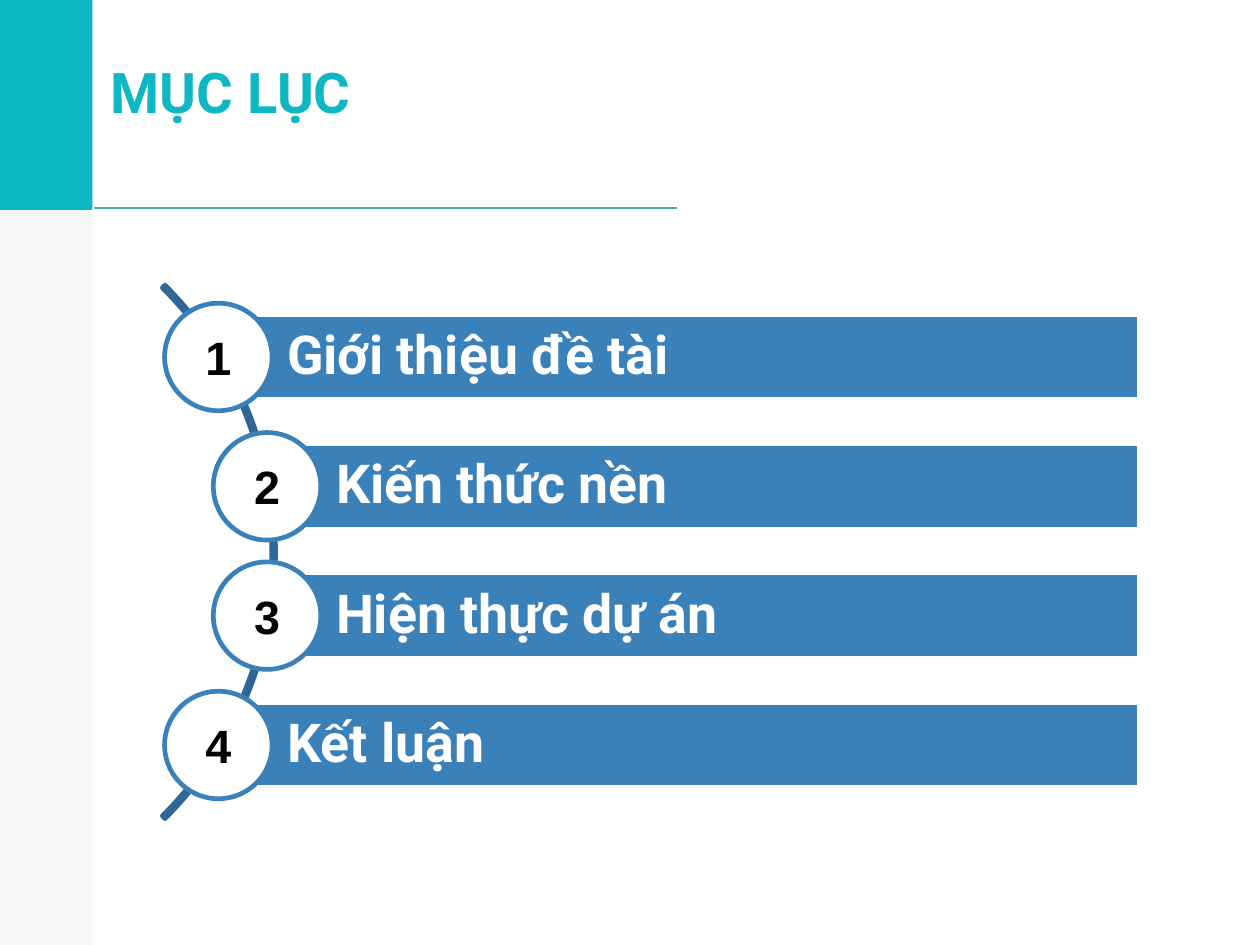
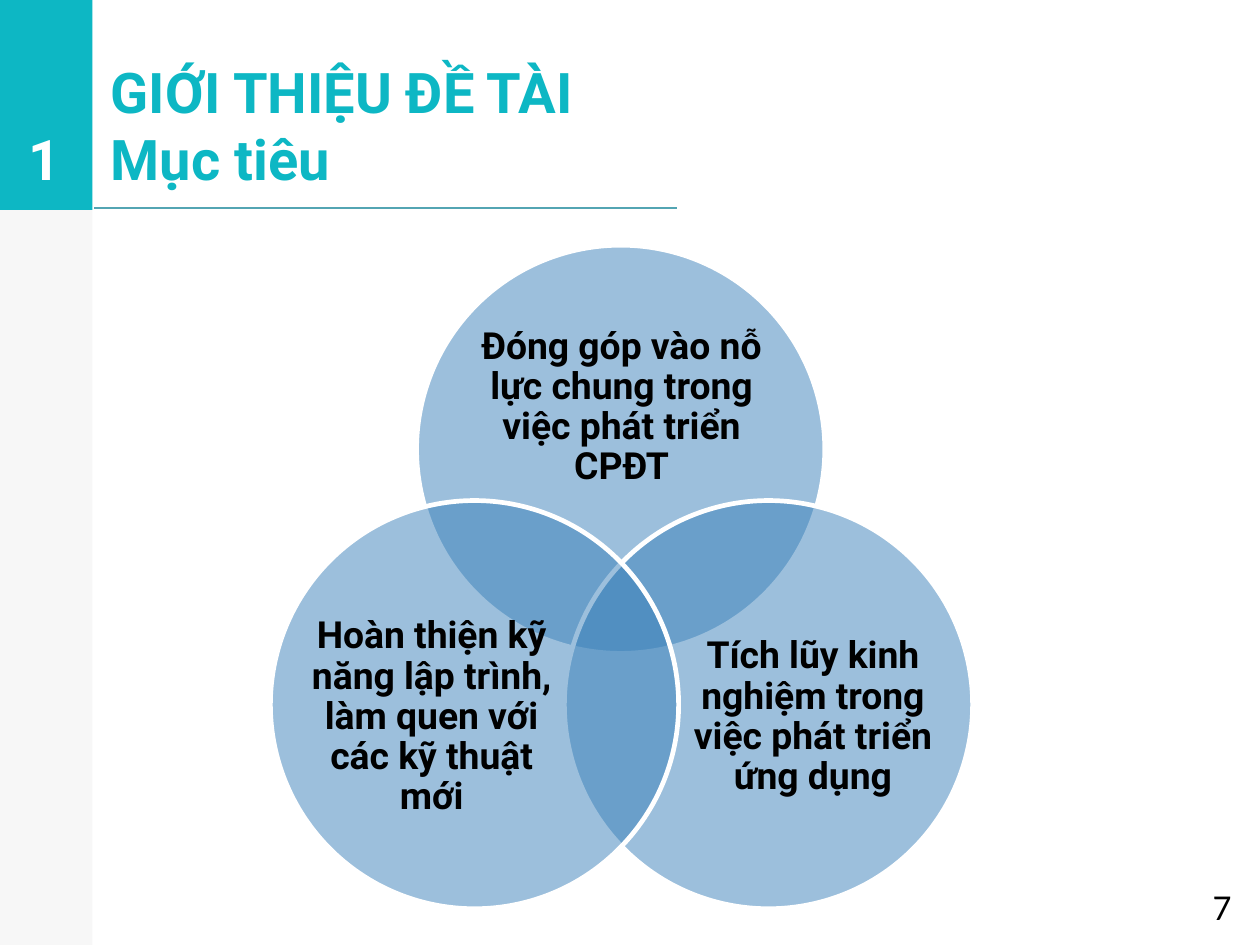
from dataclasses import dataclass

from lxml import etree
from pptx import Presentation
from pptx.dml.color import RGBColor
from pptx.enum import shapes, text
from pptx.oxml import ns
from pptx.util import Inches, Pt


@dataclass(frozen=True)
class Theme:
    teal: str = "0DB7C4"
    rule: str = "53A5B3"
    blue: str = "3A81BA"
    dark_blue: str = "2E6795"
    white: str = "FFFFFF"
    black: str = "000000"
    font: str = "Roboto"
    digit_font: str = "Arial"
    page_font: str = "Lato"
    title_size: int = 24
    bar_size: int = 23
    digit_size: int = 20
    body_size: int = 16
    page_size: int = 14
    outline: float = 2
    rule_width: float = 0.75


THEME = Theme()
WIDTH = 7.5
HEIGHT = WIDTH * 3 / 4
SIDEBAR_WIDTH = 0.55
HEADER_HEIGHT = 1.25
TITLE_LEFT = 0.56
TITLE_LINE = 0.4
PADDING = (0.1, 0.1, 0.1, 0.1)
NO_PADDING = (0, 0, 0, 0)
LEFT, CENTER = text.PP_ALIGN.LEFT, text.PP_ALIGN.CENTER
MIDDLE, BOTTOM = text.MSO_ANCHOR.MIDDLE, text.MSO_ANCHOR.BOTTOM


def place(shape, left, top, width, height):
    shape.left, shape.top = Inches(left), Inches(top)
    shape.width, shape.height = Inches(width), Inches(height)


def write(shape, wording, size, color, font=THEME.font, bold=True, align=LEFT,
          anchor=BOTTOM, padding=PADDING, spacing=1.0, wrap=True):
    """Set and format a shape's text; padding is left, top, right, bottom."""
    frame = shape.text_frame
    frame.text = wording
    frame.auto_size = text.MSO_AUTO_SIZE.NONE
    frame.word_wrap = wrap
    frame.vertical_anchor = anchor
    (frame.margin_left, frame.margin_top,
     frame.margin_right, frame.margin_bottom) = map(Inches, padding)
    for paragraph in frame.paragraphs:
        paragraph.alignment = align
        paragraph.line_spacing = spacing
        for run in paragraph.runs:
            run.font.name = font
            run.font.size = Pt(size)
            run.font.bold = bold
            run.font.color.rgb = RGBColor.from_string(color)


def add_text(slide, box, wording, size, color, **style):
    write(slide.shapes.add_textbox(*map(Inches, box)), wording, size, color, **style)


def add_figure(slide, kind, box, fill=None, line=None, opacity=None):
    """Add a flat preset shape; opacity is a percentage."""
    shape = slide.shapes.add_shape(kind, *map(Inches, box))
    shape.shadow.inherit = False
    if fill:
        shape.fill.solid()
        shape.fill.fore_color.rgb = RGBColor.from_string(fill)
    else:
        shape.fill.background()
    if opacity is not None:
        color = shape.fill._xPr.find(".//" + ns.qn("a:srgbClr"))
        etree.SubElement(color, ns.qn("a:alpha"), val=str(opacity * 1000))
    if line:
        shape.line.color.rgb = RGBColor.from_string(line)
        shape.line.width = Pt(THEME.outline)
    else:
        shape.line.fill.background()
    return shape


def add_rule(slide, start, end):
    rule = slide.shapes.add_connector(
        shapes.MSO_CONNECTOR.STRAIGHT, *map(Inches, (*start, *end)))
    rule.line.color.rgb = RGBColor.from_string(THEME.rule)
    rule.line.width = Pt(THEME.rule_width)
    etree.SubElement(rule._element.spPr, ns.qn("a:effectLst"))


def add_content_slide(presentation, title, title_width):
    """Add a slide with side bands, a title of one or two lines and a rule."""
    slide = presentation.slides.add_slide(presentation.slide_layouts[5])
    rectangle = shapes.MSO_SHAPE.RECTANGLE
    add_figure(slide, rectangle, (0, 0, SIDEBAR_WIDTH, HEIGHT), THEME.black, opacity=3)
    add_figure(slide, rectangle, (0, 0, SIDEBAR_WIDTH, HEADER_HEIGHT), THEME.teal)
    place(slide.shapes.title, TITLE_LEFT, -0.01, title_width, HEADER_HEIGHT)
    missing_lines = 1 - title.count("\v")
    write(slide.shapes.title, title, THEME.title_size, THEME.teal,
          padding=(0.1, 0.1, 0.1, 0.1 + missing_lines * TITLE_LINE))
    add_rule(slide, (TITLE_LEFT, 1.24), (4.03, 1.24))
    return slide


def add_agenda_item(slide, number, wording, left, top):
    """Add a bar with a numbered circle centred on its left end."""
    right, height, diameter = 6.78, 0.51, 0.64
    bar = add_figure(slide, shapes.MSO_SHAPE.RECTANGLE,
                     (left, top, right - left, height), THEME.blue, THEME.white)
    write(bar, wording, THEME.bar_size, THEME.white, anchor=MIDDLE,
          padding=(0.41, 0.06, 0.06, 0.06), spacing=0.9)
    circle = add_figure(
        slide, shapes.MSO_SHAPE.OVAL,
        (left - diameter / 2, top + (height - diameter) / 2, diameter, diameter),
        THEME.white, THEME.blue)
    write(circle, str(number), THEME.digit_size, THEME.black, font=THEME.digit_font,
          align=CENTER, anchor=MIDDLE, padding=NO_PADDING, wrap=False)


def add_venn_circle(slide, left, top, wording, text_box):
    diameter = 2.43
    add_figure(slide, shapes.MSO_SHAPE.OVAL, (left, top, diameter, diameter),
               THEME.blue, THEME.white, opacity=50)
    add_text(slide, text_box, wording, THEME.body_size, THEME.black, align=CENTER,
             anchor=MIDDLE, padding=NO_PADDING, spacing=0.9)


def add_agenda_slide(presentation):
    slide = add_content_slide(presentation, "MỤC LỤC", 6.94)
    arc = add_figure(slide, shapes.MSO_SHAPE.BLOCK_ARC, (-2.85, 1.04, 4.49, 4.49),
                     line=THEME.dark_blue)
    for index, value in enumerate((189, 27, 0.005)):
        arc.adjustments[index] = value
    items = (("Giới thiệu đề tài", 1.3), ("Kiến thức nền", 1.59),
             ("Hiện thực dự án", 1.59), ("Kết luận", 1.3))
    for index, (wording, left) in enumerate(items):
        add_agenda_item(slide, index + 1, wording, left, 1.87 + 0.77 * index)


def add_goals_slide(presentation):
    slide = add_content_slide(presentation, "GIỚI THIỆU ĐỀ TÀI\vMục tiêu", 5.96)
    add_text(slide, (0.07, -0.01, 0.73, HEADER_HEIGHT), "1", THEME.title_size, THEME.white)
    add_text(slide, (7.12, 5.24, 0.26, 0.38), "7", THEME.page_size, THEME.black,
             font=THEME.page_font, bold=False)
    goals = (
        (2.48, 1.46, "Đóng góp vào nỗ lực chung trong việc phát triển CPĐT",
         (2.81, 1.88, 1.78, 1.09)),
        (3.36, 2.98, "Tích lũy kinh nghiệm trong việc phát triển ứng dụng",
         (4.11, 3.6, 1.46, 1.34)),
        (1.61, 2.98, "Hoàn thiện kỹ năng lập trình, làm quen với các kỹ thuật mới",
         (1.84, 3.6, 1.46, 1.34)),
    )
    for goal in goals:
        add_venn_circle(slide, *goal)


def main():
    presentation = Presentation()
    presentation.slide_width, presentation.slide_height = Inches(WIDTH), Inches(HEIGHT)
    add_agenda_slide(presentation)
    add_goals_slide(presentation)
    presentation.save("out.pptx")


if __name__ == "__main__":
    main()
